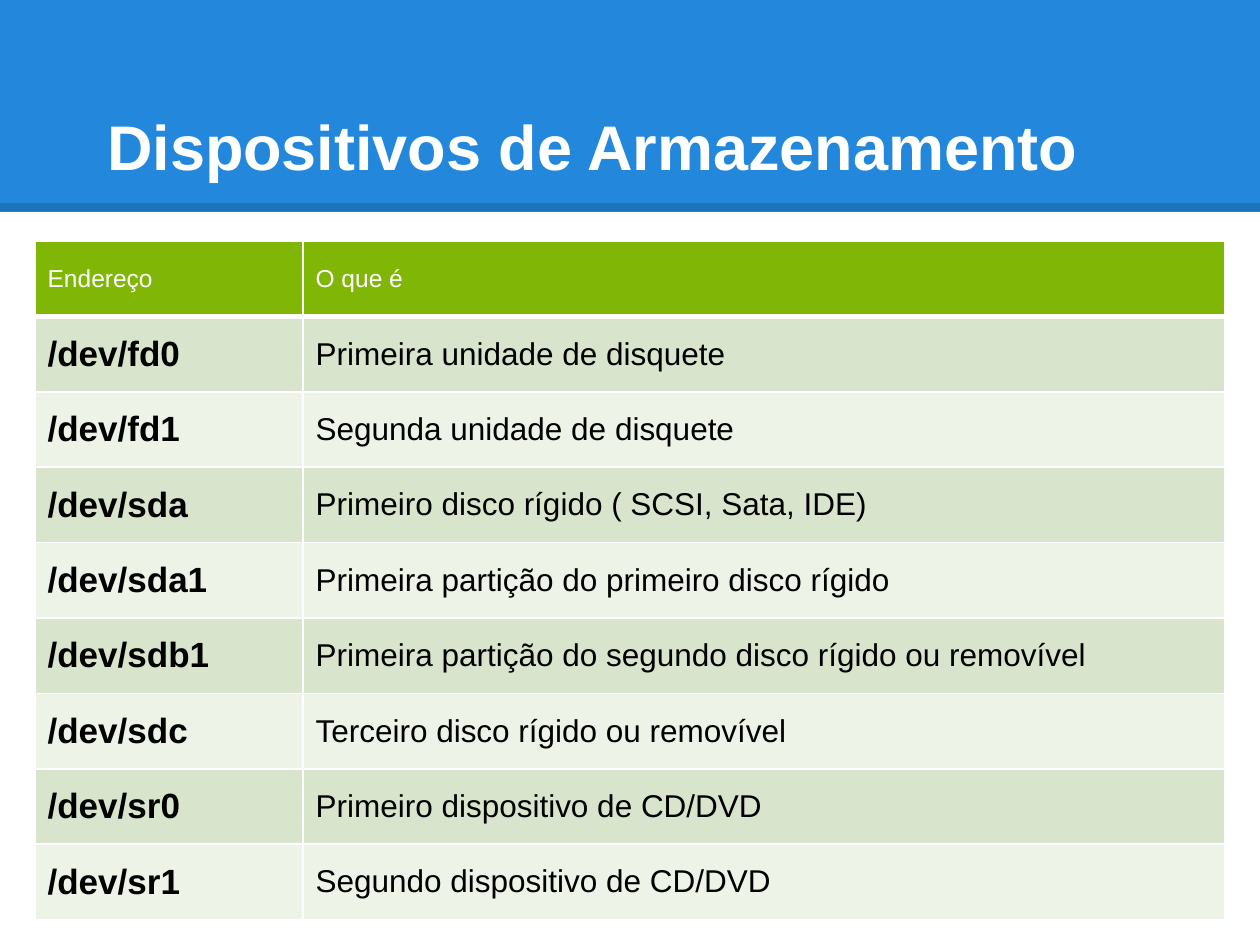
import lxml.etree
import pptx
import pptx.dml.color
import pptx.enum.shapes
import pptx.enum.text
import pptx.oxml.ns
import pptx.util

SCALE = pptx.util.Inches(1) / 126
FONT = "Arial"
WHITE = pptx.dml.color.RGBColor(0xFF, 0xFF, 0xFF)
BLACK = pptx.dml.color.RGBColor(0x00, 0x00, 0x00)
BLUE = pptx.dml.color.RGBColor(0x23, 0x88, 0xDB)
GREEN = pptx.dml.color.RGBColor(0x80, 0xB6, 0x06)
BANDS = (
    pptx.dml.color.RGBColor(0xD8, 0xE5, 0xCC),
    pptx.dml.color.RGBColor(0xED, 0xF3, 0xE7),
)
HEADINGS = ("Endereço", "O que é")
DEVICES = (
    ("/dev/fd0", "Primeira unidade de disquete"),
    ("/dev/fd1", "Segunda unidade de disquete"),
    ("/dev/sda", "Primeiro disco rígido ( SCSI, Sata, IDE)"),
    ("/dev/sda1", "Primeira partição do primeiro disco rígido"),
    ("/dev/sdb1", "Primeira partição do segundo disco rígido ou removível"),
    ("/dev/sdc", "Terceiro disco rígido ou removível"),
    ("/dev/sr0", "Primeiro dispositivo de CD/DVD"),
    ("/dev/sr1", "Segundo dispositivo de CD/DVD"),
)


def px(length):
    """Turn a length in px into EMU."""
    return pptx.util.Emu(round(length * SCALE))


def add_element(parent, tag, **attributes):
    """Append a DrawingML child element."""
    return lxml.etree.SubElement(parent, pptx.oxml.ns.qn(tag), **attributes)


def set_font(paragraph, size, color, bold=False):
    """Format all the text of a paragraph."""
    paragraph.font.name = FONT
    paragraph.font.size = pptx.util.Pt(size)
    paragraph.font.bold = bold
    paragraph.font.color.rgb = color


def add_header(slide, left, top, width, height):
    """Place the blue band, its translucent lower edge and the title."""
    title = slide.shapes.title
    band = slide.shapes.add_shape(
        pptx.enum.shapes.MSO_SHAPE.RECTANGLE, px(left), px(top), px(width), px(height)
    )
    band.shadow.inherit = False
    band.fill.solid()
    band.fill.fore_color.rgb = BLUE
    band.line.fill.background()

    edge_y = px(top + height - 5)
    edge = slide.shapes.add_connector(
        pptx.enum.shapes.MSO_CONNECTOR.STRAIGHT, px(left), edge_y, px(left + width), edge_y
    )
    edge.line.width = pptx.util.Pt(4.5)
    edge.line.color.rgb = BLACK
    color = edge.element.spPr.find(".//" + pptx.oxml.ns.qn("a:srgbClr"))
    add_element(color, "a:alpha", val="15000")
    add_element(edge.element.spPr, "a:effectLst")
    for shape in (band, edge):
        title.element.addprevious(shape.element)

    title.left, title.top = px(left + 63), px(top + 38)
    title.width, title.height = px(width - 126), px(height - 54)
    frame = title.text_frame
    frame.text = "Dispositivos de Armazenamento"
    frame.word_wrap = True
    frame.auto_size = pptx.enum.text.MSO_AUTO_SIZE.NONE
    frame.vertical_anchor = pptx.enum.text.MSO_ANCHOR.BOTTOM
    frame.margin_left = frame.margin_right = pptx.util.Inches(0.1)
    frame.margin_top = frame.margin_bottom = pptx.util.Inches(0.1)
    paragraph = frame.paragraphs[0]
    paragraph.alignment = pptx.enum.text.PP_ALIGN.LEFT
    properties = paragraph._p.get_or_add_pPr()
    properties.set("marL", "0")
    properties.set("indent", str(pptx.util.Inches(0.25)))
    set_font(paragraph, 36, WHITE, bold=True)


def format_cell(cell, text, fill, size, color, bold=False, bottom=1):
    """Fill one cell with its text, white borders and background."""
    cell.text = text
    cell.vertical_anchor = pptx.enum.text.MSO_ANCHOR.MIDDLE
    set_font(cell.text_frame.paragraphs[0], size, color, bold)
    properties = cell._tc.get_or_add_tcPr()
    for side, width in (("L", 1), ("R", 1), ("T", 1), ("B", bottom)):
        line = add_element(properties, f"a:ln{side}", w=str(pptx.util.Pt(width)))
        add_element(add_element(line, "a:solidFill"), "a:srgbClr", val=str(WHITE))
    cell.fill.solid()
    cell.fill.fore_color.rgb = fill


def add_device_table(slide, left, top, width, height):
    """Place the table of device addresses and descriptions."""
    row_count = len(DEVICES) + 1
    table = slide.shapes.add_table(
        row_count, len(HEADINGS), px(left), px(top), px(width), px(height)
    ).table
    table.horz_banding = False
    address_width = 268
    table.columns[0].width = px(address_width)
    table.columns[1].width = px(width - address_width)
    for row in table.rows:
        row.height = px(height / row_count)
    for column, heading in enumerate(HEADINGS):
        format_cell(table.cell(0, column), heading, GREEN, 14, WHITE, bottom=3)
    for index, (address, description) in enumerate(DEVICES):
        fill = BANDS[index % 2]
        format_cell(table.cell(index + 1, 0), address, fill, 20, BLACK, bold=True)
        format_cell(table.cell(index + 1, 1), description, fill, 18, BLACK)


def main():
    """Build the slide and save it."""
    presentation = pptx.Presentation()
    presentation.slide_width = px(1260)
    presentation.slide_height = px(945)
    slide = presentation.slides.add_slide(presentation.slide_layouts[5])
    slide.background.fill.solid()
    slide.background.fill.fore_color.rgb = WHITE
    add_header(slide, 0, 0, 1260, 212)
    add_device_table(slide, 35, 241, 1190, 679)
    presentation.save("out.pptx")


if __name__ == "__main__":
    main()
